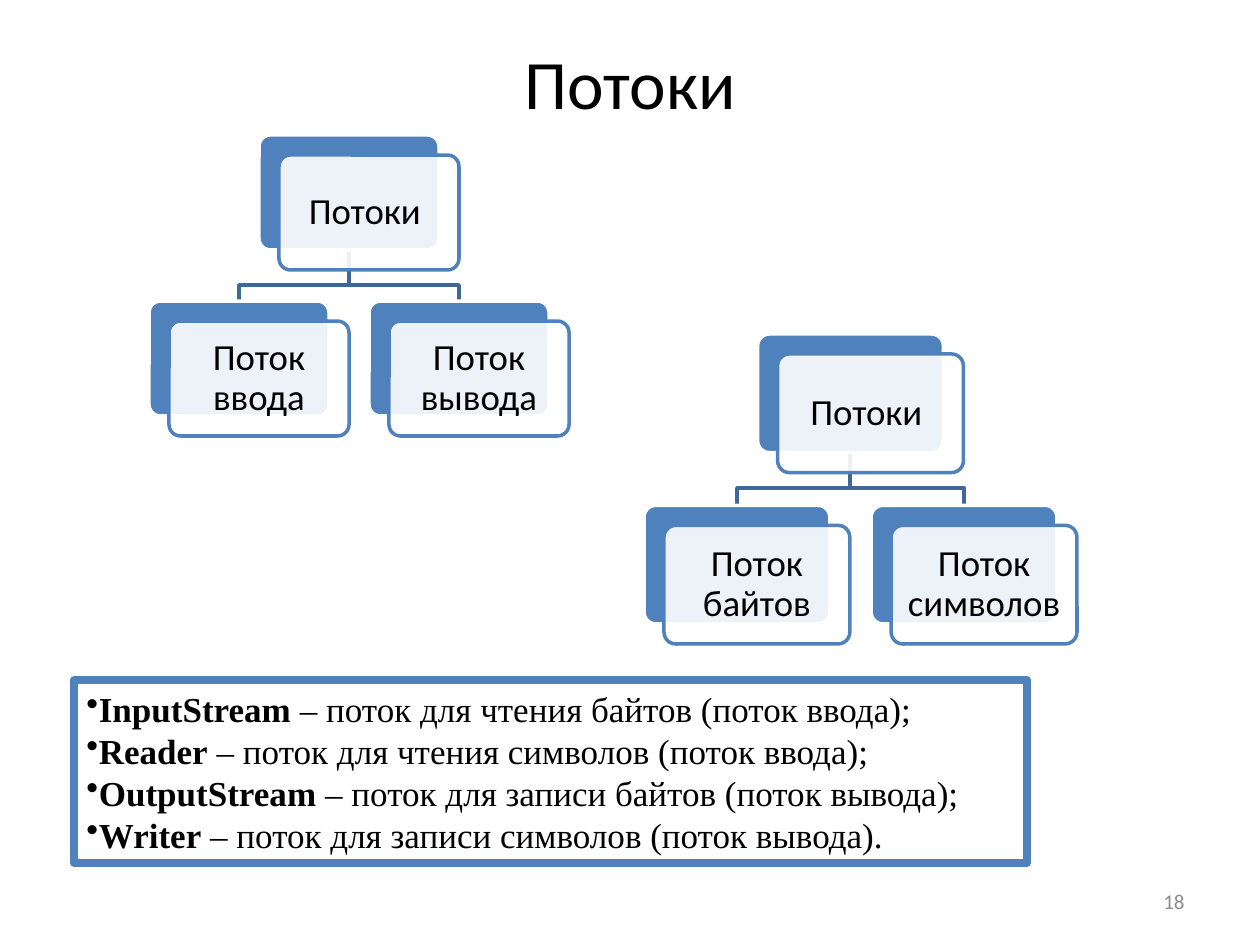
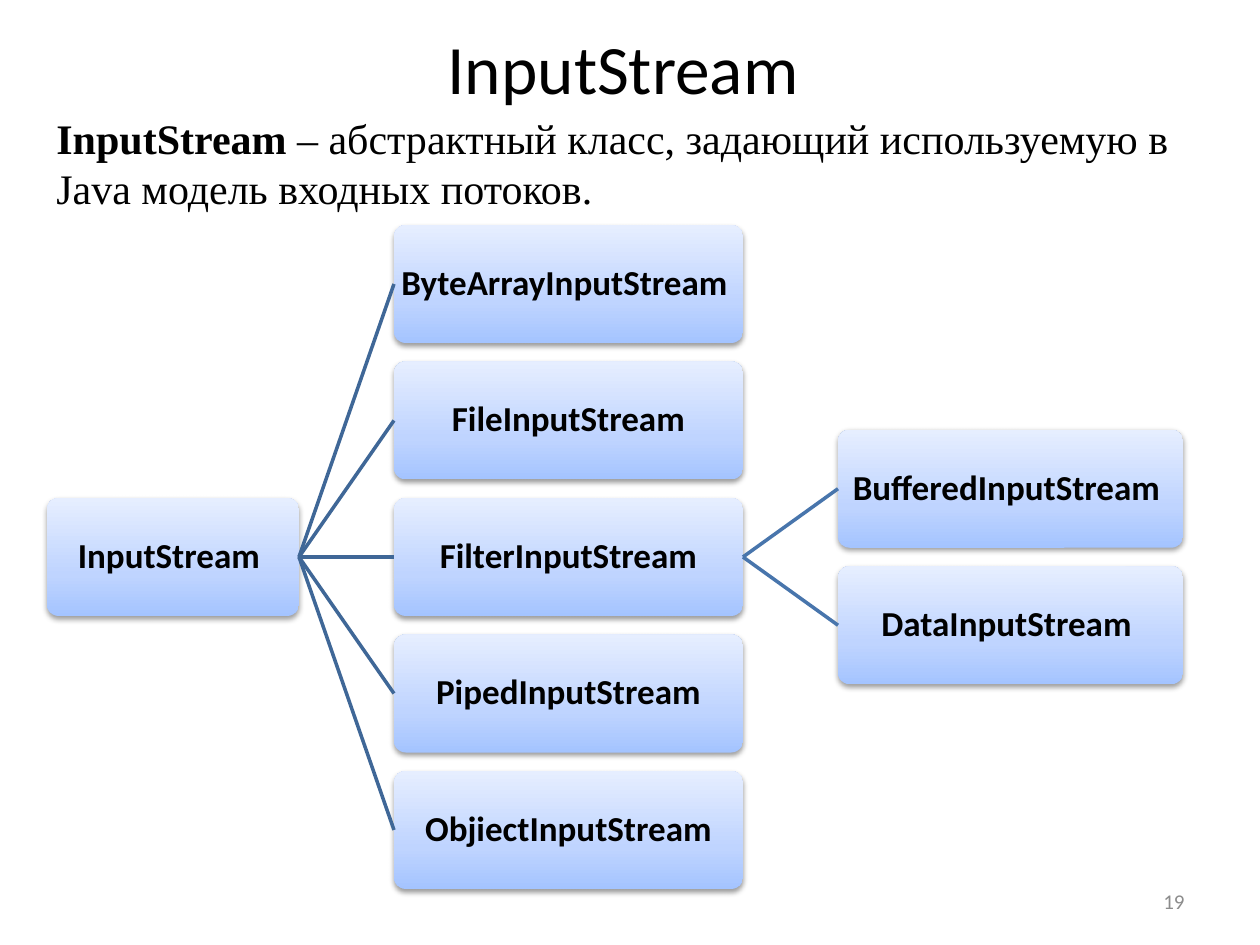
from copy import deepcopy

from lxml import etree
from pptx import Presentation
from pptx.dml.color import RGBColor
from pptx.enum.shapes import MSO_CONNECTOR, MSO_SHAPE
from pptx.enum.text import MSO_ANCHOR, PP_ALIGN
from pptx.oxml.ns import qn
from pptx.util import Pt

PX = 914400 / 126

BLACK = RGBColor(0x00, 0x00, 0x00)
WHITE = RGBColor(0xFF, 0xFF, 0xFF)
GRAY = RGBColor(0x8C, 0x8C, 0x8C)
BLUE = RGBColor(0x4F, 0x81, 0xBD)
BRANCH_BLUE = RGBColor(0x3F, 0x67, 0x97)
LEAF_BRANCH_BLUE = RGBColor(0x48, 0x75, 0xAC)
NODE_GRADIENT = (
    (0, RGBColor(0xA4, 0xC4, 0xFF)),
    (0.35, RGBColor(0xBF, 0xD4, 0xFF)),
    (1, RGBColor(0xE6, 0xEE, 0xFF)),
)

SANS = "Calibri"
SERIF = "Times New Roman"

LEFT, CENTER, RIGHT, JUSTIFY = PP_ALIGN.LEFT, PP_ALIGN.CENTER, PP_ALIGN.RIGHT, PP_ALIGN.JUSTIFY
TOP, MIDDLE = MSO_ANCHOR.TOP, MSO_ANCHOR.MIDDLE
RECTANGLE, ROUNDED = MSO_SHAPE.RECTANGLE, MSO_SHAPE.ROUNDED_RECTANGLE
STRAIGHT = MSO_CONNECTOR.STRAIGHT
LEFT_SIDE, RIGHT_SIDE = 1, 3

CARD_SHIFT = 20
NODE_HEIGHT, NODE_PITCH, LEVEL_GAP = 118, 136.5, 95

STREAM_TERMS = (
    ("InputStream", " – поток для чтения байтов (поток ввода);"),
    ("Reader", " – поток для чтения символов (поток ввода);"),
    ("OutputStream", " – поток для записи байтов (поток вывода);"),
    ("Writer", " – поток для записи символов (поток вывода)."),
)


def px(*lengths):
    return [round(length * PX) for length in lengths]


def format_run(run, size, font=SANS, color=BLACK, bold=False):
    run.font.size = Pt(size)
    run.font.name = font
    run.font.color.rgb = color
    run.font.bold = bold


def set_label(shape, text, size, align=CENTER, color=BLACK, bold=False, spacing=None, inset=None):
    frame = shape.text_frame
    frame.word_wrap = True
    frame.vertical_anchor = MIDDLE
    if inset is not None:
        margin, = px(inset)
        frame.margin_left = frame.margin_right = margin
        frame.margin_top = frame.margin_bottom = margin
    frame.text = text
    paragraph = frame.paragraphs[0]
    paragraph.alignment = align
    paragraph.line_spacing = spacing
    format_run(paragraph.runs[0], size, color=color, bold=bold)


def set_definition(paragraph, term, meaning, size):
    for text, bold in ((term, True), (meaning, False)):
        run = paragraph.add_run()
        run.text = text
        format_run(run, size, SERIF, bold=bold)


def add_box(slide, kind, box):
    shape = slide.shapes.add_shape(kind, *px(*box))
    shape.shadow.inherit = False
    if kind == ROUNDED:
        shape.adjustments[0] = 0.1
    return shape


def add_slide(presentation, title, title_box, number):
    slide = presentation.slides.add_slide(presentation.slide_layouts[6])
    set_label(slide.shapes.add_textbox(*px(*title_box)), title, 39.6)
    number_box = slide.shapes.add_textbox(*px(903, 876, 294, 50))
    set_label(number_box, str(number), 12, RIGHT, GRAY)
    return slide


def add_card(slide, text, left, top, width, height):
    """Solid card with a translucent labelled card shifted over it."""
    back = add_box(slide, ROUNDED, (left, top, width, height))
    front = add_box(slide, ROUNDED, (left + CARD_SHIFT, top + CARD_SHIFT, width, height))
    for card, fill, line in ((back, BLUE, WHITE), (front, WHITE, BLUE)):
        card.fill.solid()
        card.fill.fore_color.rgb = fill
        card.line.color.rgb = line
        card.line.width = Pt(2)
    color = front._element.spPr.find(qn("a:solidFill"))[0]
    etree.SubElement(color, qn("a:alpha"), val="90000")
    set_label(front, text, 21, spacing=0.9, inset=11)


def add_elbow(slide, start_x, start_y, end_x, end_y):
    bend_y = start_y + (end_y - start_y) * 0.68
    builder = slide.shapes.build_freeform(start_x, start_y, scale=PX)
    builder.add_line_segments(((start_x, bend_y), (end_x, bend_y), (end_x, end_y)), close=False)
    elbow = builder.convert_to_shape()
    elbow.shadow.inherit = False
    elbow.fill.background()
    elbow.line.color.rgb = BRANCH_BLUE
    elbow.line.width = Pt(2)


def add_hierarchy(slide, box, parent, children):
    """Parent card centred over two child cards, filling the box."""
    left, top, width, height = box
    card_width = (width - CARD_SHIFT) * 9 / 20
    card_height = (height - CARD_SHIFT) * 9 / 22
    column_pitch = width - CARD_SHIFT - card_width
    child_top = top + height - CARD_SHIFT - card_height
    parent_left = left + column_pitch / 2
    child_lefts = [left + index * column_pitch for index in range(len(children))]

    for child_left in reversed(child_lefts):
        add_elbow(slide, parent_left + card_width / 2, top + card_height,
                  child_left + card_width / 2, child_top)
    add_card(slide, parent, parent_left, top, card_width, card_height)
    for child, child_left in zip(children, child_lefts):
        add_card(slide, child, child_left, child_top, card_width, card_height)


def add_term_list(slide, box):
    panel = add_box(slide, RECTANGLE, box)
    panel.fill.background()
    panel.line.color.rgb = BLUE
    panel.line.width = Pt(4.5)
    frame = panel.text_frame
    frame.word_wrap = True
    frame.vertical_anchor = MIDDLE
    for index, (term, meaning) in enumerate(STREAM_TERMS):
        paragraph = frame.add_paragraph() if index else frame.paragraphs[0]
        paragraph.alignment = JUSTIFY
        etree.SubElement(paragraph._p.get_or_add_pPr(), qn("a:buChar"), char="•")
        set_definition(paragraph, term, meaning, 20)


def add_definition(slide, box):
    text_box = slide.shapes.add_textbox(*px(*box))
    frame = text_box.text_frame
    frame.word_wrap = True
    frame.vertical_anchor = TOP
    paragraph = frame.paragraphs[0]
    paragraph.alignment = LEFT
    set_definition(paragraph, "InputStream",
                   " – абстрактный класс, задающий используемую в Java модель входных потоков.", 24)


def fill_with_gradient(shape):
    shape.fill.gradient()
    shape.fill.gradient_angle = 90
    stop_list = shape._element.spPr.find(qn("a:gradFill")).find(qn("a:gsLst"))
    stop_list.append(deepcopy(stop_list[0]))
    for stop, (position, color) in zip(shape.fill.gradient_stops, NODE_GRADIENT):
        stop.position = position
        stop.color.rgb = color


def add_shadow(shape):
    effects = shape._element.spPr.find(qn("a:effectLst"))
    shadow = etree.SubElement(effects, qn("a:outerShdw"), blurRad="40000", dist="20000",
                              dir="5400000", rotWithShape="0")
    color = etree.SubElement(shadow, qn("a:srgbClr"), val=str(BLACK))
    etree.SubElement(color, qn("a:alpha"), val="38000")


def add_level(slide, names, left, width, center_y):
    """Column of class nodes centred on center_y."""
    first_top = center_y - NODE_HEIGHT / 2 - NODE_PITCH * (len(names) - 1) / 2
    nodes = []
    for index, name in enumerate(names):
        node = add_box(slide, ROUNDED, (left, first_top + index * NODE_PITCH, width, NODE_HEIGHT))
        fill_with_gradient(node)
        node.line.fill.background()
        add_shadow(node)
        set_label(node, name, 20, bold=True, spacing=0.9, inset=1)
        nodes.append(node)
    return nodes


def add_branches(slide, parent, children, color):
    for child in children:
        branch = slide.shapes.add_connector(STRAIGHT, 0, 0, 0, 0)
        branch.begin_connect(parent, RIGHT_SIDE)
        branch.end_connect(child, LEFT_SIDE)
        branch.line.color.rgb = color
        branch.line.width = Pt(2)
        etree.SubElement(branch._element.spPr, qn("a:effectLst"))


def add_class_tree(slide, left, center_y):
    root_width, subclass_width, leaf_width = 252, 349, 345
    subclass_left = left + root_width + LEVEL_GAP
    leaf_left = subclass_left + subclass_width + LEVEL_GAP
    root, = add_level(slide, ["InputStream "], left, root_width, center_y)
    subclasses = add_level(
        slide,
        ["ByteArrayInputStream ", "FileInputStream", "FilterInputStream",
         "PipedInputStream", "ObjiectInputStream"],
        subclass_left, subclass_width, center_y)
    leaves = add_level(slide, ["BufferedInputStream ", "DataInputStream "],
                       leaf_left, leaf_width, center_y)
    add_branches(slide, root, subclasses, BRANCH_BLUE)
    add_branches(slide, subclasses[2], leaves, LEAF_BRANCH_BLUE)


def build_streams_slide(presentation):
    slide = add_slide(presentation, "Потоки", (63, 38, 1134, 87), 18)
    add_hierarchy(slide, (149, 135, 420, 301), "Потоки ", ("Поток ввода", "Поток вывода"))
    add_hierarchy(slide, (644, 334, 433, 310), "Потоки ", ("Поток байтов", "Поток символов"))
    add_term_list(slide, (74, 680, 953, 183))


def build_input_stream_slide(presentation):
    slide = add_slide(presentation, "InputStream ", (64, 26, 1134, 81), 19)
    add_class_tree(slide, 47, 557)
    add_definition(slide, (44, 106, 1150, 115))


def main():
    presentation = Presentation()
    presentation.slide_width, presentation.slide_height = px(1260, 945)
    build_streams_slide(presentation)
    build_input_stream_slide(presentation)
    presentation.save("out.pptx")


if __name__ == "__main__":
    main()
